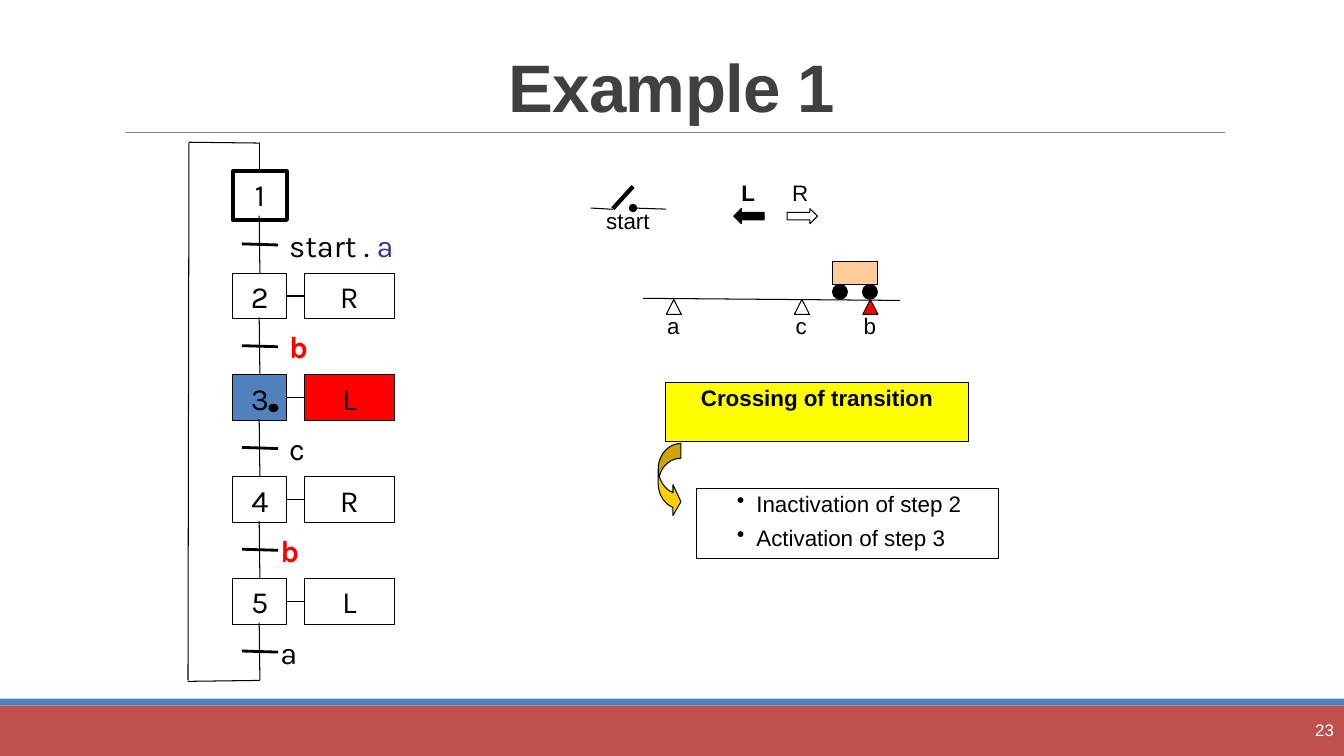
from dataclasses import dataclass

import lxml.etree
import pptx
import pptx.dml.color
import pptx.enum.shapes
import pptx.enum.text
import pptx.oxml.ns
import pptx.util

Pt = pptx.util.Pt
SHAPE = pptx.enum.shapes.MSO_SHAPE
ALIGN = pptx.enum.text.PP_ALIGN
ANCHOR = pptx.enum.text.MSO_ANCHOR

COLORS = {
    "black": "000000", "white": "FFFFFF", "red": "FF0000", "active": "4F81BD",
    "footer": "C0504D", "rule": "808080", "title": "404040", "note": "FFFF00",
    "cart": "FFCC99", "arrow": "FFCF01", "indigo": "333399",
}


@dataclass(frozen=True)
class TextRun:
    text: str
    color: str = "black"
    bold: bool = False


@dataclass(frozen=True)
class TextStyle:
    font: str
    size: float
    spacing: float
    align: ALIGN = ALIGN.CENTER


@dataclass(frozen=True)
class Step:
    number: str
    condition: tuple[TextRun, ...]
    action: str | None = None
    condition_left: float = 206.6
    fill: str | None = None
    action_fill: str | None = None
    height: float = 32.7
    border: float = 0.75


@dataclass(frozen=True)
class Sensor:
    name: str
    left: float
    fill: str | None = None


CHART_TEXT = TextStyle("Karla", 22, 26.1)
CONDITION_TEXT = TextStyle("Karla", 22, 26.1, ALIGN.LEFT)
LABEL_TEXT = TextStyle("Arial", 16, 17.1)
LIST_TEXT = TextStyle("Arial", 16, 17.1, ALIGN.LEFT)

STEPS = (
    Step("1", (TextRun("start . "), TextRun("a", "indigo")), height=34.6, border=3),
    Step("2", (TextRun("b", "red", True),), "R"),
    Step("3", (TextRun("c"),), "L", fill="active", action_fill="red"),
    Step("4", (TextRun("b", "red", True),), "R", condition_left=200.2),
    Step("5", (TextRun("a"),), "L", condition_left=200.2),
)
SENSORS = (Sensor("a", 475.9), Sensor("c", 567.4), Sensor("b", 616.3, "red"))

STEP_LEFT, STEP_WIDTH, FIRST_TOP, PITCH = 166.4, 38.5, 122.4, 72.7
AXIS = STEP_LEFT + STEP_WIDTH / 2
ACTION_LEFT, ACTION_WIDTH = 217.4, 64.3
LOOP_LEFT, LOOP_TOP, LOOP_BOTTOM = 134.3, 102, 486

presentation = pptx.Presentation()
presentation.slide_width, presentation.slide_height = Pt(960), Pt(540)
slide = presentation.slides.add_slide(presentation.slide_layouts[5])


def rgb(name: str) -> pptx.dml.color.RGBColor:
    return pptx.dml.color.RGBColor.from_string(COLORS[name])


def write_runs(paragraph, runs: tuple[TextRun, ...], style: TextStyle) -> None:
    paragraph.alignment = style.align
    paragraph.line_spacing = Pt(style.spacing)
    for part in runs:
        run = paragraph.add_run()
        run.text = part.text
        run.font.name, run.font.size = style.font, Pt(style.size)
        run.font.bold = part.bold
        run.font.color.rgb = rgb(part.color)


def set_frame(frame, left: float = 0, top: float = 0, anchor: ANCHOR = ANCHOR.TOP) -> None:
    frame.word_wrap = True
    frame.vertical_anchor = anchor
    frame.margin_left, frame.margin_top = Pt(left), Pt(top)
    frame.margin_right = frame.margin_bottom = 0


def add_label(left: float, top: float, width: float, height: float,
              runs: tuple[TextRun, ...], style: TextStyle, anchor: ANCHOR = ANCHOR.TOP):
    label = slide.shapes.add_textbox(Pt(left), Pt(top), Pt(width), Pt(height))
    set_frame(label.text_frame, anchor=anchor)
    write_runs(label.text_frame.paragraphs[0], runs, style)


def add_figure(kind: SHAPE, left: float, top: float, width: float, height: float,
               fill: str | None = None, border: float = 0.75):
    figure = slide.shapes.add_shape(kind, Pt(left), Pt(top), Pt(width), Pt(height))
    figure.shadow.inherit = False
    if fill:
        figure.fill.solid()
        figure.fill.fore_color.rgb = rgb(fill)
    else:
        figure.fill.background()
    if border:
        figure.line.color.rgb = rgb("black")
        figure.line.width = Pt(border)
    else:
        figure.line.fill.background()
    return figure


def add_box(left: float, top: float, width: float, height: float, runs: tuple[TextRun, ...],
            style: TextStyle, fill: str | None = None, border: float = 0.75):
    box = add_figure(SHAPE.RECTANGLE, left, top, width, height, fill, border)
    set_frame(box.text_frame, top=3.6)
    write_runs(box.text_frame.paragraphs[0], runs, style)
    return box


def add_line(x1: float, y1: float, x2: float, y2: float, width: float = 0.75,
             color: str = "black"):
    line = slide.shapes.add_connector(pptx.enum.shapes.MSO_CONNECTOR.STRAIGHT,
                                      Pt(x1), Pt(y1), Pt(x2), Pt(y2))
    line.line.color.rgb = rgb(color)
    line.line.width = Pt(width)
    lxml.etree.SubElement(line._element.spPr, pptx.oxml.ns.qn("a:effectLst"))
    return line


def draw_frame() -> None:
    """Draw the title, its rule, the footer bars and the page number."""
    add_figure(SHAPE.RECTANGLE, 0, 504, 960, 36, "footer", 0)
    add_figure(SHAPE.RECTANGLE, 0, 499, 960, 5, "active", 0)
    add_line(90, 94.5, 875, 94.5, 0.5, "rule")
    title = slide.shapes.title
    title.left, title.top, title.width, title.height = Pt(84), Pt(12), Pt(792), Pt(82)
    title.text_frame.auto_size = pptx.enum.text.MSO_AUTO_SIZE.NONE
    title.text_frame.vertical_anchor = ANCHOR.BOTTOM
    heading = title.text_frame.paragraphs[0]
    write_runs(heading, (TextRun("Example 1", "title", True),), TextStyle("Arial", 48, 48))
    heading.line_spacing = 0.85
    heading.runs[0]._r.get_or_add_rPr().set("spc", "-50")
    add_label(857, 507, 95.8, 28.8, (TextRun("23", "white"),),
              TextStyle("Arial", 12, 14, ALIGN.RIGHT), ANCHOR.MIDDLE)


def draw_sequence() -> None:
    """Draw the steps, their actions and transitions, and the return loop."""
    incoming = add_line(AXIS, LOOP_TOP, AXIS, FIRST_TOP)
    for index, step in enumerate(STEPS):
        top = FIRST_TOP + index * PITCH
        box = add_box(STEP_LEFT, top, STEP_WIDTH, step.height, (TextRun(step.number),),
                      CHART_TEXT, step.fill, step.border)
        incoming.end_connect(box, 0)
        if step.action:
            action = add_box(ACTION_LEFT, top, ACTION_WIDTH, step.height,
                             (TextRun(step.action),), CHART_TEXT, step.action_fill)
            link = add_line(STEP_LEFT + STEP_WIDTH, top + 16, ACTION_LEFT, top + 16)
            link.begin_connect(box, 3)
            link.end_connect(action, 1)
        incoming = add_line(AXIS - 0.5, top + 31.6, AXIS, min(top + PITCH, LOOP_BOTTOM))
        add_line(172.8, top + 51.8, 198.7, top + 52.6, 2)
        add_label(step.condition_left, top + 39.6, 85, 26, step.condition, CONDITION_TEXT)
    add_line(AXIS, LOOP_BOTTOM, LOOP_LEFT, LOOP_BOTTOM + 0.7)
    add_line(LOOP_LEFT, LOOP_BOTTOM, LOOP_LEFT + 0.7, LOOP_TOP)
    add_line(LOOP_LEFT + 0.7, LOOP_TOP - 0.4, AXIS, LOOP_TOP + 0.2)
    add_figure(SHAPE.OVAL, 192.2, 288.7, 6.4, 5.3, "black")


def draw_cart() -> None:
    """Draw the start switch, the direction arrows, the track, cart and sensors."""
    add_line(437.8, 149, 452.2, 133.2, 3)
    add_line(421.9, 148.6, 437.8, 149.5)
    contact = add_line(452.2, 148.6, 475.9, 149.4)
    lxml.etree.SubElement(contact.line._get_or_add_ln(), pptx.oxml.ns.qn("a:headEnd"),
                          type="oval")
    add_label(424, 149.8, 49, 17, (TextRun("start"),), LABEL_TEXT)
    add_label(520, 130.3, 29, 17, (TextRun("L", bold=True),), LABEL_TEXT)
    add_label(557, 130.3, 29, 17, (TextRun("R"),), LABEL_TEXT)
    add_figure(SHAPE.LEFT_ARROW, 524.2, 149, 21.6, 10.8, "black")
    add_figure(SHAPE.RIGHT_ARROW, 562.3, 149, 21.6, 10.8)
    add_line(459.4, 213.1, 643, 214.6)
    add_figure(SHAPE.RECTANGLE, 594.7, 187, 32.4, 16.3, "cart")
    for wheel_left in (594.7, 616.1):
        add_figure(SHAPE.OVAL, wheel_left, 203.2, 10.6, 10.6, "black")
    for sensor in SENSORS:
        add_figure(SHAPE.ISOSCELES_TRIANGLE, sensor.left, 214, 10.8, 10.6, sensor.fill)
        add_label(sensor.left - 8.6, 225.4, 27.2, 17, (TextRun(sensor.name),), LABEL_TEXT)


def draw_crossing() -> None:
    """Draw the crossing note and the list of its effects."""
    add_box(475.6, 273.2, 216, 42, (TextRun("Crossing of transition", bold=True),),
            LABEL_TEXT, "note")
    effects = add_box(497.5, 348.7, 216, 50, (TextRun("Inactivation of step 2"),), LIST_TEXT)
    effects.text_frame.margin_left = Pt(28.8)
    write_runs(effects.text_frame.add_paragraph(), (TextRun("Activation of step 3"),), LIST_TEXT)
    effects.text_frame.paragraphs[0].space_after = Pt(7.2)
    for effect in effects.text_frame.paragraphs:
        properties = effect._p.get_or_add_pPr()
        properties.set("marL", str(Pt(14)))
        properties.set("indent", str(-Pt(14)))
        lxml.etree.SubElement(properties, pptx.oxml.ns.qn("a:buChar"), char="•")
    arrow = add_figure(SHAPE.CURVED_RIGHT_ARROW, 470.2, 316.8, 16.2, 52.6, "arrow")
    for index, ratio in enumerate((0.65, 1.36, 0.35)):
        arrow.adjustments[index] = ratio


draw_frame()
draw_sequence()
draw_cart()
draw_crossing()
presentation.save("out.pptx")
